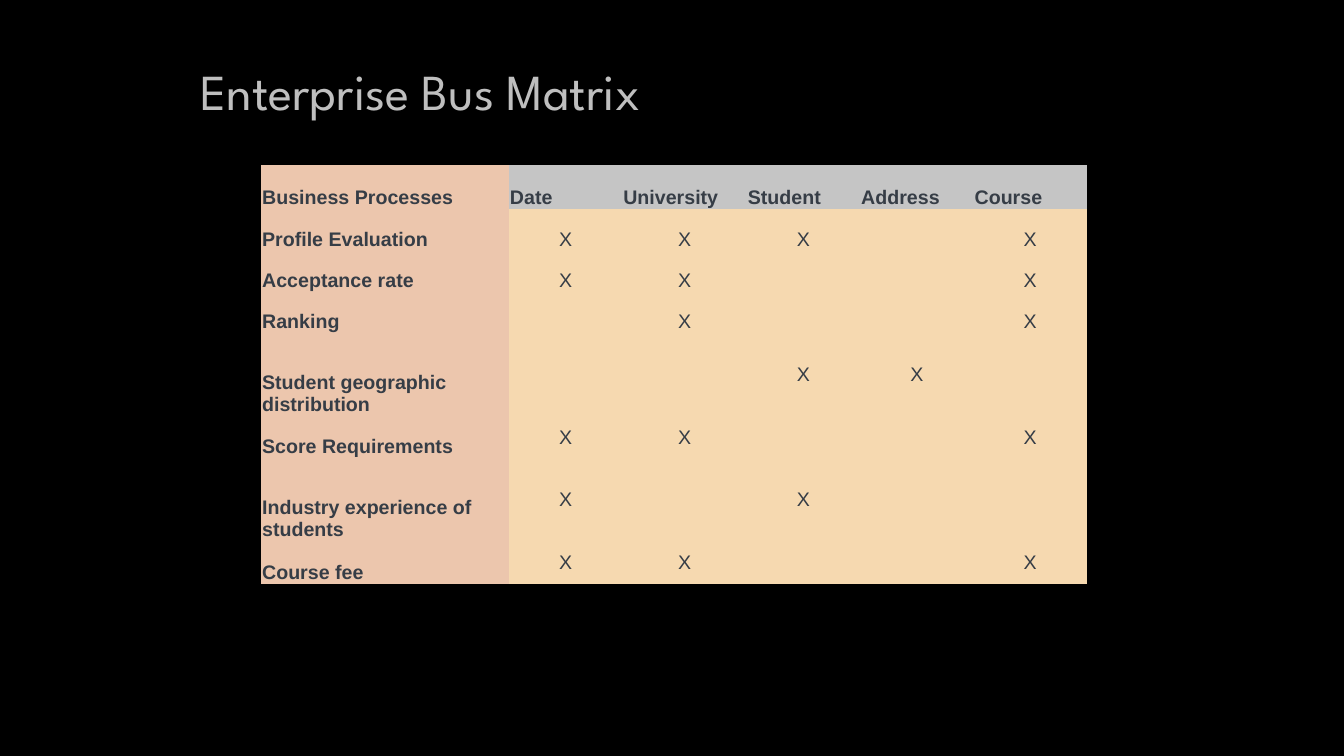
from pptx import Presentation
from pptx.dml.color import RGBColor
from pptx.enum.text import MSO_ANCHOR as Anchor, PP_ALIGN as Align
from pptx.util import Pt

HEADERS = ["Business Processes", "Date", "University", "Student", "Address", "Course"]
PROCESSES = [
    ("Profile Evaluation", "Date University Student Course", Anchor.BOTTOM),
    ("Acceptance rate", "Date University Course", Anchor.BOTTOM),
    ("Ranking", "University Course", Anchor.BOTTOM),
    ("Student geographic distribution", "Student Address", Anchor.MIDDLE),
    ("Score Requirements", "Date University Course", Anchor.MIDDLE),
    ("Industry experience of students", "Date Student", Anchor.MIDDLE),
    ("Course fee", "Date University Course", Anchor.MIDDLE),
]
COLUMN_WIDTHS = [177, 81, 89, 81, 81, 81]
ROW_HEIGHTS = [31.2, 29.6, 29.6, 29.6, 59.2, 29.6, 59.2, 31.2]
NO_GRID_STYLE = "{2D5ABB26-0587-4C30-8999-92F81FD0307C}"


def paint(color_format, color):
    color_format.rgb = RGBColor.from_string(color)


def style_text(para, font, size, color, bold=False):
    for span in para.runs:
        span.font.name = font
        span.font.size = Pt(size)
        span.font.bold = bold
        paint(span.font.color, color)


def fill_cell(cell, text, color, anchor=Anchor.BOTTOM, bold=True, align=Align.LEFT):
    cell.fill.solid()
    paint(cell.fill.fore_color, color)
    if not text:
        return
    cell.vertical_anchor = anchor
    cell.margin_left = cell.margin_right = cell.margin_top = Pt(0.75)
    cell.margin_bottom = Pt(0)
    para = cell.text_frame.paragraphs[0]
    para.text = text
    para.alignment = align
    style_text(para, "Arial", 14, "363D46", bold)


def add_title(page, left, top, width, height):
    box = page.shapes.add_textbox(Pt(left), Pt(top), Pt(width), Pt(height))
    frame = box.text_frame
    frame.word_wrap = True
    frame.vertical_anchor = Anchor.MIDDLE
    frame.text = "Enterprise Bus Matrix"
    frame.paragraphs[0].line_spacing = 0.9
    style_text(frame.paragraphs[0], "League Spartan", 36, "BFBFBF")


def add_matrix(page, left, top):
    table = page.shapes.add_table(
        len(ROW_HEIGHTS), len(COLUMN_WIDTHS), Pt(left), Pt(top),
        Pt(sum(COLUMN_WIDTHS)), Pt(sum(ROW_HEIGHTS))).table
    table._tbl.tblPr[0].text = NO_GRID_STYLE
    table.first_row = table.horz_banding = False
    for column, width in zip(table.columns, COLUMN_WIDTHS):
        column.width = Pt(width)
    for row, height in zip(table.rows, ROW_HEIGHTS):
        row.height = Pt(height)
    for index, header in enumerate(HEADERS):
        fill_cell(table.cell(0, index), header, "C5C5C5" if index else "ECC6AD")
    for row, (process, dimensions, anchor) in enumerate(PROCESSES, 1):
        fill_cell(table.cell(row, 0), process, "ECC6AD")
        for column, header in enumerate(HEADERS[1:], 1):
            mark = "X" if header in dimensions.split() else ""
            fill_cell(table.cell(row, column), mark, "F6D9B0", anchor, False, Align.CENTER)


def main():
    deck = Presentation()
    deck.slide_width, deck.slide_height = Pt(960), Pt(540)
    page = deck.slides.add_slide(deck.slide_layouts[6])
    page.background.fill.solid()
    paint(page.background.fill.fore_color, "000000")
    add_title(page, 136, 31, 770, 73)
    add_matrix(page, 186.5, 118)
    deck.save("out.pptx")


if __name__ == "__main__":
    main()
